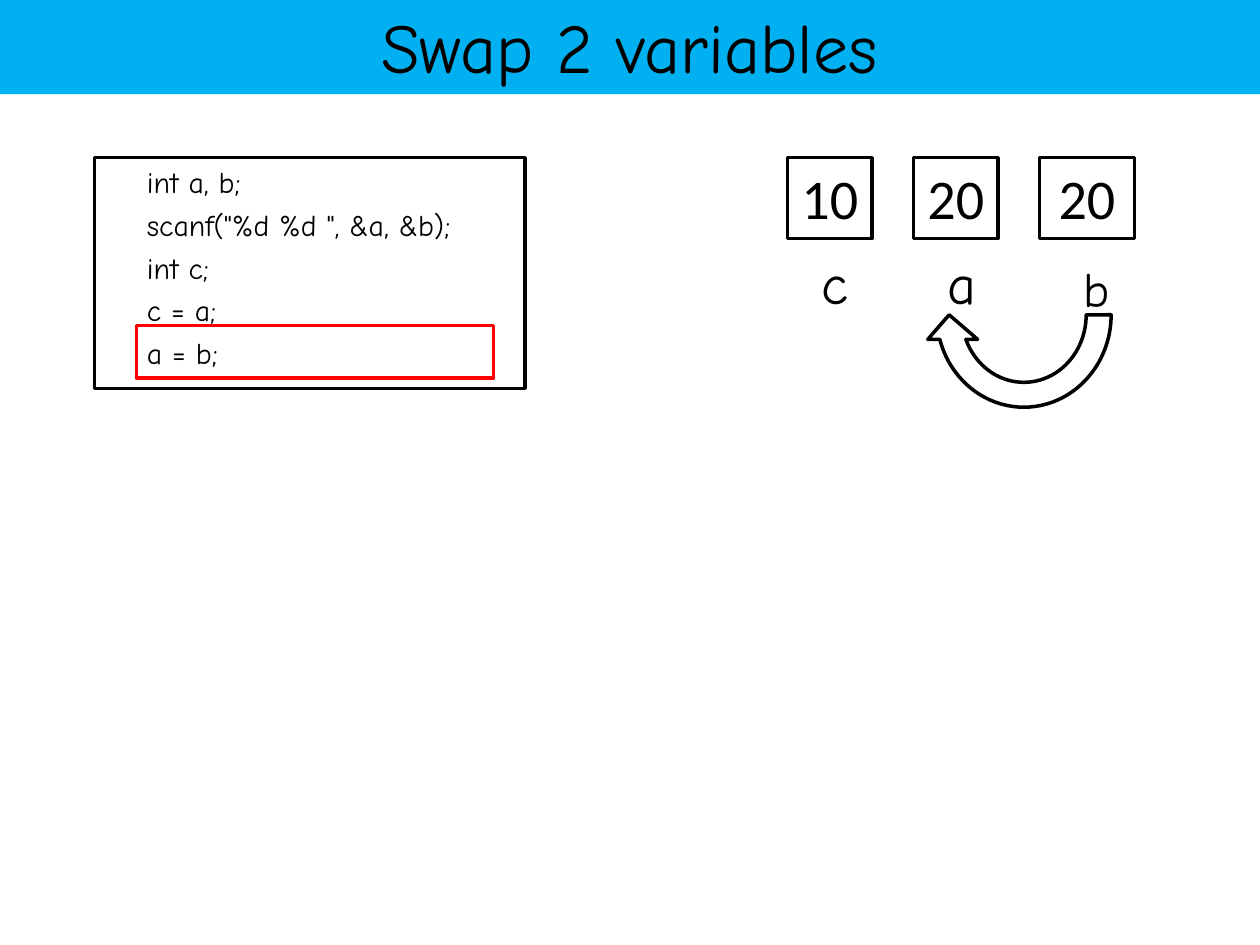
"""Build the slide that shows the second step of swapping two variables."""
from dataclasses import dataclass
from typing import Optional

import pptx
import pptx.dml.color
import pptx.enum.shapes
import pptx.enum.text
import pptx.util

Cm = pptx.util.Cm
Pt = pptx.util.Pt
Color = pptx.dml.color.RGBColor
Shape = pptx.enum.shapes.MSO_SHAPE
Align = pptx.enum.text.PP_ALIGN
Anchor = pptx.enum.text.MSO_ANCHOR


@dataclass(frozen=True)
class Theme:
    """Colours, fonts and type sizes of the slide."""

    ink: Color = Color(0, 0, 0)
    paper: Color = Color(255, 255, 255)
    banner: Color = Color(0x00, 0xB0, 0xF0)
    highlight: Color = Color(255, 0, 0)
    hand_font: str = "Comic Neue"
    value_font: str = "Calibri"
    title_size: int = 40
    value_size: int = 32
    small_label_size: int = 28
    code_size: int = 17
    code_gap: int = 4
    outline: int = 2


@dataclass(frozen=True)
class Box:
    """Position and size in centimetres."""

    left: float
    top: float
    width: float
    height: float

    def lengths(self) -> tuple:
        """Return the four lengths in slide units."""
        return Cm(self.left), Cm(self.top), Cm(self.width), Cm(self.height)


@dataclass(frozen=True)
class Variable:
    """A memory cell with its value and its name."""

    name: str
    value: str
    cell_width: float
    label: Box
    label_size: int


THEME = Theme()
CELL_LEFT, CELL_TOP, CELL_PITCH, CELL_HEIGHT = 15.88, 3.18, 2.54, 1.63
CODE = (
    "    int a, b;",
    '    scanf("%d %d ", &a, &b);',
    "    int c;",
    "    c = a;",
    "    a = b;",
)
VARIABLES = (
    Variable("c", "10", 1.7, Box(16.31, 4.88, 1.27, 1.63), THEME.value_size),
    Variable("a", "20", 1.7, Box(18.85, 4.88, 1.27, 1.63), THEME.value_size),
    Variable("b", "20", 1.91, Box(21.59, 5.08, 1.27, 1.45), THEME.small_label_size),
)


def write_text(shape, text: str, *, size: int, font: str = THEME.hand_font,
               align=Align.LEFT, anchor=Anchor.TOP, gap: int = 0) -> None:
    """Write one paragraph for each line of text."""
    frame = shape.text_frame
    frame.text = text
    frame.word_wrap = True
    frame.auto_size = pptx.enum.text.MSO_AUTO_SIZE.NONE
    frame.vertical_anchor = anchor
    for index, paragraph in enumerate(frame.paragraphs):
        paragraph.alignment = align
        paragraph.space_before = Pt(gap if index else 0)
        paragraph.font.name = font
        paragraph.font.size = Pt(size)
        paragraph.font.color.rgb = THEME.ink


def add_outline(slide, kind, box: Box, *, fill: Optional[Color] = None,
                line: Color = THEME.ink):
    """Add an outlined shape, hollow unless a fill is given."""
    shape = slide.shapes.add_shape(kind, *box.lengths())
    shape.shadow.inherit = False
    if fill is None:
        shape.fill.background()
    else:
        shape.fill.solid()
        shape.fill.fore_color.rgb = fill
    shape.line.color.rgb = line
    shape.line.width = Pt(THEME.outline)
    return shape


def add_title(slide, text: str) -> None:
    """Turn the title placeholder into the banner."""
    title = slide.shapes.title
    title.left, title.top, title.width, title.height = Box(-0.03, -0.08, 25.43, 1.98).lengths()
    title.fill.solid()
    title.fill.fore_color.rgb = THEME.banner
    write_text(title, text, size=THEME.title_size, align=Align.CENTER, anchor=Anchor.MIDDLE)


def add_variable(slide, variable: Variable, left: float) -> None:
    """Add a memory cell and the name below it."""
    cell = add_outline(slide, Shape.RECTANGLE,
                       Box(left, CELL_TOP, variable.cell_width, CELL_HEIGHT), fill=THEME.paper)
    write_text(cell, variable.value, size=THEME.value_size, font=THEME.value_font,
               align=Align.CENTER)
    label = slide.shapes.add_textbox(*variable.label.lengths())
    write_text(label, variable.name, size=variable.label_size)


def main() -> None:
    """Build and save the presentation."""
    presentation = pptx.Presentation()
    presentation.slide_width, presentation.slide_height = Cm(25.4), Cm(19.05)
    slide = presentation.slides.add_slide(presentation.slide_layouts[5])
    add_title(slide, "Swap 2 variables")

    listing = add_outline(slide, Shape.RECTANGLE, Box(1.91, CELL_TOP, 8.68, 4.65),
                          fill=THEME.paper)
    write_text(listing, "\n".join(CODE), size=THEME.code_size, gap=THEME.code_gap)
    add_outline(slide, Shape.RECTANGLE, Box(2.75, 6.56, 7.2, 1.06), line=THEME.highlight)

    for index, variable in enumerate(VARIABLES):
        add_variable(slide, variable, CELL_LEFT + index * CELL_PITCH)
    arrow = add_outline(slide, Shape.CIRCULAR_ARROW, Box(18.63, 4.23, 4.02, 4.23))
    arrow.rotation = 180

    presentation.save("out.pptx")


if __name__ == "__main__":
    main()
